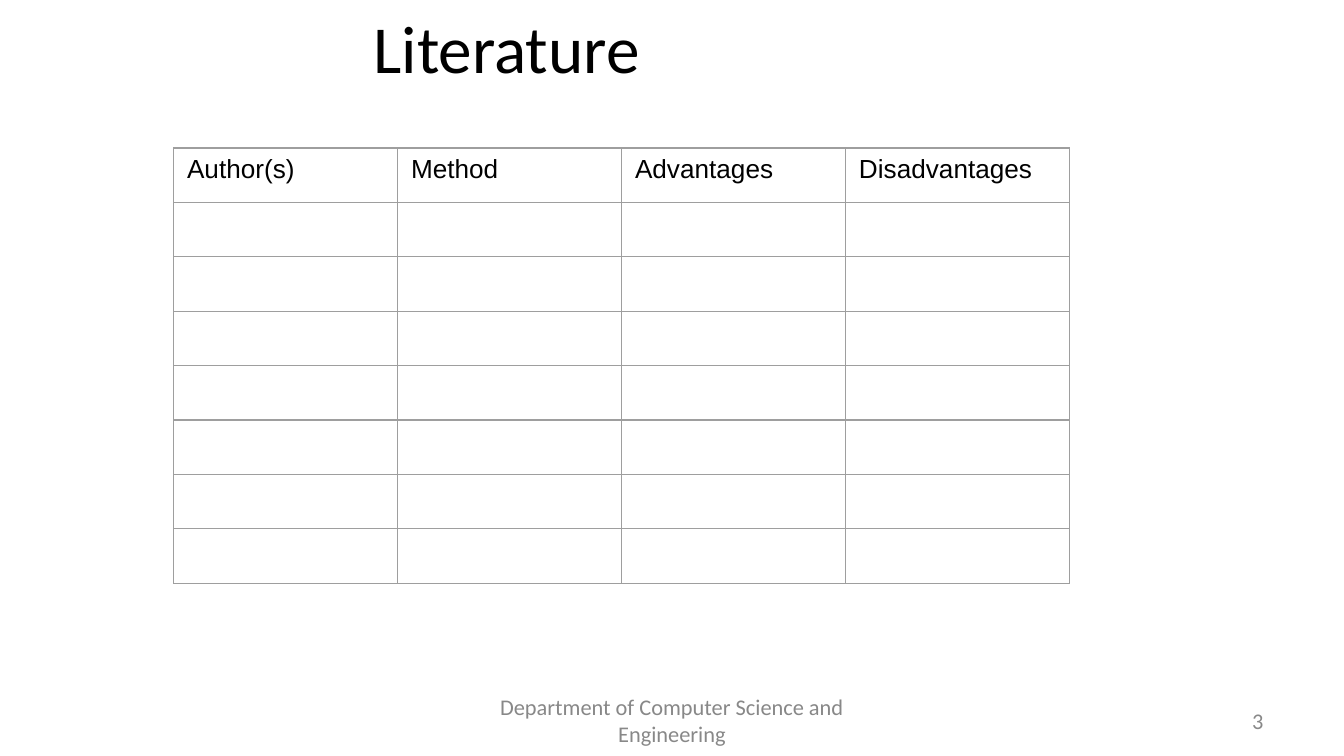
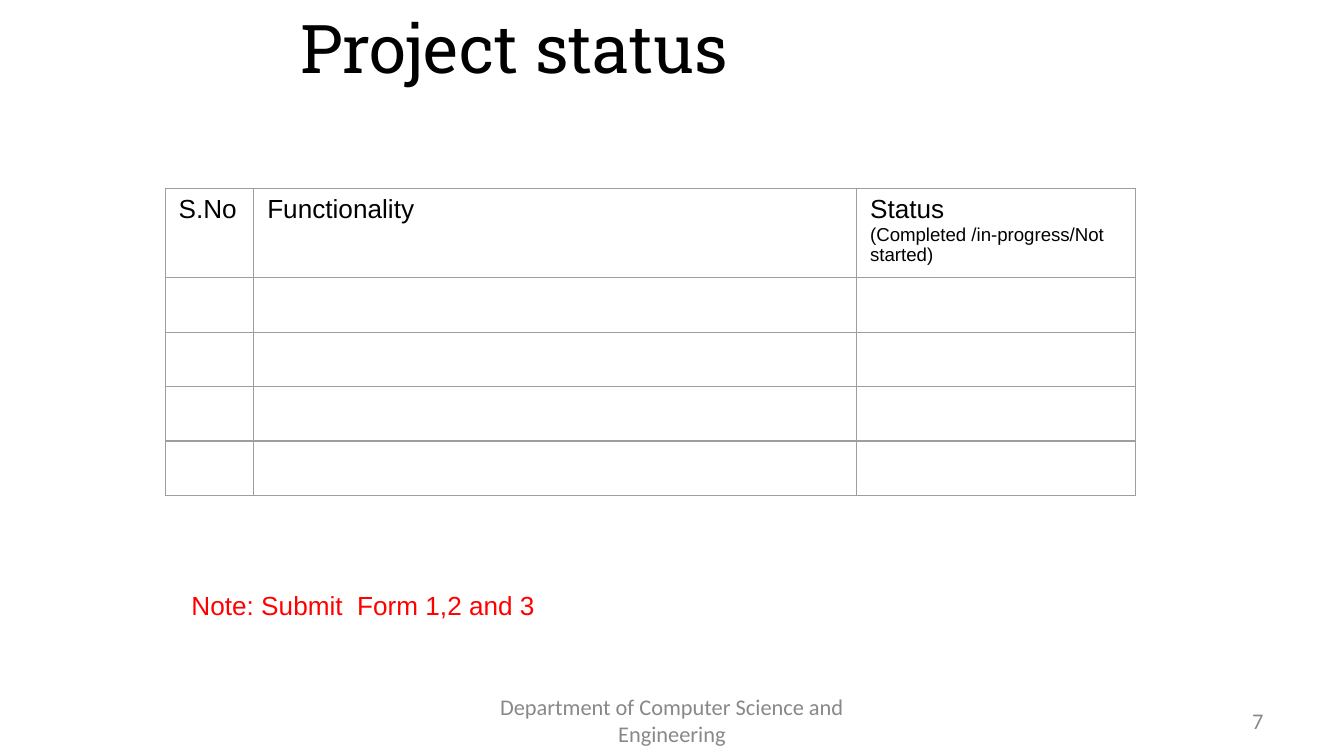
from dataclasses import dataclass

from lxml import etree
from pptx import Presentation
from pptx.dml.color import RGBColor
from pptx.enum import text
from pptx.oxml import ns
from pptx.util import Pt


@dataclass(frozen=True)
class Theme:
    ink: str = "000000"
    grey: str = "888888"
    rule: str = "9E9E9E"
    alert: str = "FF0000"
    sans: str = "Calibri"
    slab: str = "Roboto Slab"
    body: str = "Arial"
    head: int = 36
    base: int = 14
    foot: int = 12
    small: int = 10
    line: float = 0.75


T = Theme()
ROW = 29.16
DEPT = "Department of Computer Science and Engineering"
LEFT, MID, RIGHT = text.PP_ALIGN.LEFT, text.PP_ALIGN.CENTER, text.PP_ALIGN.RIGHT


def add_run(para, words, font, size, color):
    run = para.add_run()
    run.text = words
    run.font.name = font
    run.font.size = Pt(size)
    run.font.color.rgb = RGBColor.from_string(color)


def add_text(slide, box, words, font, size, color, align=LEFT,
             anchor=text.MSO_ANCHOR.MIDDLE):
    frame = slide.shapes.add_textbox(*map(Pt, box)).text_frame
    frame.word_wrap = True
    frame.vertical_anchor = anchor
    para = frame.paragraphs[0]
    para.alignment = align
    add_run(para, words, font, size, color)
    return frame


def add_title(slide, words, font):
    add_text(slide, (34.5, 0, 482, 49.5), words, font, T.head, T.ink, MID)


def add_foot(slide, number):
    add_text(slide, (516, 375, 168, 21.6), number, T.sans, T.foot, T.grey, RIGHT)
    add_text(slide, (246, 375, 228, 21.6), DEPT, T.sans, T.foot, T.grey, MID)


def style_cell(cell):
    """Rule all four sides and clear the fill."""
    props = cell._tc.get_or_add_tcPr()
    for side in ("lnL", "lnR", "lnT", "lnB"):
        line = etree.SubElement(props, ns.qn(f"a:{side}"), w=str(Pt(T.line)))
        fill = etree.SubElement(line, ns.qn("a:solidFill"))
        etree.SubElement(fill, ns.qn("a:srgbClr"), val=T.rule)
    cell.fill.background()


def add_grid(slide, left, top, cols, heads, blanks, first=ROW):
    """Draw a header row of (words, size) paragraphs above empty rows."""
    rows = [first] + [ROW] * blanks
    box = map(Pt, (left, top, sum(cols), sum(rows)))
    table = slide.shapes.add_table(len(rows), len(cols), *box).table
    table.first_row = table.horz_banding = False
    for col, width in zip(table.columns, cols):
        col.width = Pt(width)
    for row, height in zip(table.rows, rows):
        row.height = Pt(height)
    for cell in table.iter_cells():
        style_cell(cell)
    for cell, lines in zip(table.rows[0].cells, heads):
        frame = cell.text_frame
        for i, (words, size) in enumerate(lines):
            para = frame.add_paragraph() if i else frame.paragraphs[0]
            add_run(para, words, T.body, size, T.ink)


def add_page(deck, title, font, number):
    slide = deck.slides.add_slide(deck.slide_layouts[6])
    add_title(slide, title, font)
    add_foot(slide, number)
    return slide


def main():
    deck = Presentation()
    deck.slide_width, deck.slide_height = Pt(720), Pt(405)

    works = add_page(deck, "Literature ", T.sans, "3")
    names = ("Author(s)", "Method", "Advantages", "Disadvantages")
    add_grid(works, 93, 79.3, [120] * 4, [[(n, T.base)] for n in names], 7)

    status = add_page(deck, "Project status", T.slab, "7")
    heads = [
        [("S.No", T.base)],
        [("Functionality", T.base)],
        [("Status", T.base), ("(Completed /in-progress/Not started)", T.small)],
    ]
    add_grid(status, 88.5, 100.8, [47.5, 323, 149.5], heads, 4, 45.3)
    note = add_text(status, (95.5, 312, 237.5, 24.3), "Note: Submit  Form 1,2 and 3",
                    T.body, T.base, T.alert, anchor=text.MSO_ANCHOR.TOP)
    note.auto_size = text.MSO_AUTO_SIZE.SHAPE_TO_FIT_TEXT

    deck.save("out.pptx")


if __name__ == "__main__":
    main()
